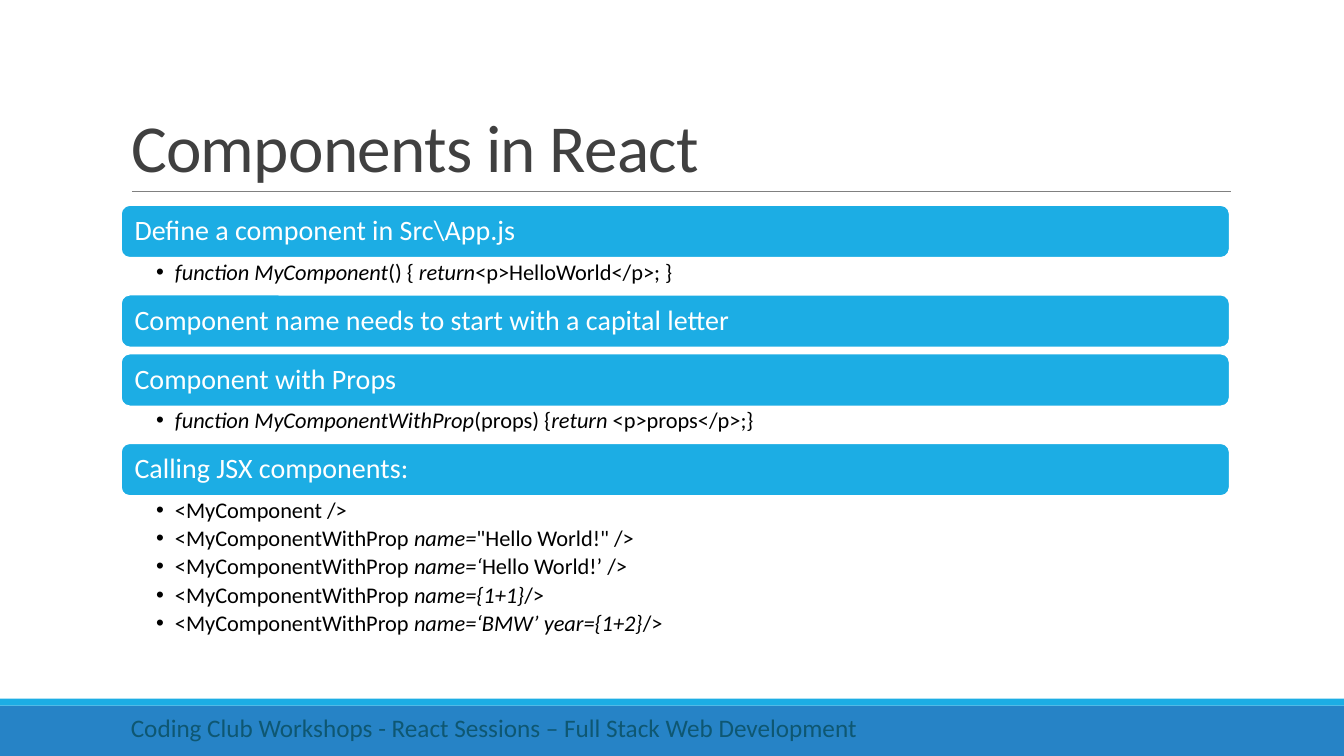
from lxml.etree import SubElement
from pptx import Presentation
from pptx.dml.color import RGBColor
from pptx.enum.shapes import MSO_CONNECTOR, MSO_SHAPE
from pptx.enum.text import MSO_ANCHOR, MSO_AUTO_SIZE, PP_ALIGN
from pptx.oxml.ns import qn
from pptx.util import Pt

LEFT, WIDE = 86.4, 792
BAR, LIST, GAP = 37.7, 26.3, 4.4

# Heading of each bar and the lines below it; *stars* mark italics
TOPICS = [
    (r"Define a component in Src\App.js",
     ["*function MyComponent*() { *return*<p>HelloWorld</p>; }"], LIST),
    ("Component name needs to start with a capital letter", [], GAP),
    ("Component with Props",
     ["*function MyComponentWithProp*(props) {*return* <p>props</p>;}"], LIST),
    ("Calling JSX components:",
     ["<MyComponent />",
      '<MyComponentWithProp *name=*"Hello World!" />',
      "<MyComponentWithProp *name=‘*Hello World!’ />",
      "<MyComponentWithProp *name={1+1}*/>",
      "<MyComponentWithProp *name=‘BMW’ year={1+2}*/>"], 107.3),
]


def color(code):
    return RGBColor.from_string(code)


def place(shape, x, y, w, h):
    shape.left, shape.top, shape.width, shape.height = map(Pt, (x, y, w, h))


def bullet(para, indent):
    props = para._p.get_or_add_pPr()
    props.set("marL", str(Pt(indent)))
    props.set("indent", str(-Pt(indent)))
    SubElement(props, qn("a:buChar")).set("char", "•")


def write(shape, lines, size, ink, anchor=MSO_ANCHOR.MIDDLE, inset=None,
          line=0.9, after=0, indent=0, track=0):
    frame = shape.text_frame
    frame.word_wrap = True
    frame.auto_size = MSO_AUTO_SIZE.NONE
    frame.vertical_anchor = anchor
    if inset:
        (frame.margin_left, frame.margin_top,
         frame.margin_right, frame.margin_bottom) = map(Pt, inset)
    for n, text in enumerate(lines):
        para = frame.add_paragraph() if n else frame.paragraphs[0]
        if indent:
            bullet(para, indent)
        para.alignment = PP_ALIGN.LEFT
        para.line_spacing = line
        para.space_before = Pt(0)
        para.space_after = Pt(after)
        for k, part in enumerate(text.split("*")):
            if not part:
                continue
            run = para.add_run()
            run.text = part
            font = run.font
            font.name, font.size = "Calibri", Pt(size)
            font.bold, font.italic = False, k % 2 == 1
            font.color.rgb = color(ink)
            if track:
                run._r.get_or_add_rPr().set("spc", str(track))


def block(slide, kind, x, y, w, h, fill, edge=None):
    shape = slide.shapes.add_shape(kind, Pt(x), Pt(y), Pt(w), Pt(h))
    shape.shadow.inherit = False
    shape.fill.solid()
    shape.fill.fore_color.rgb = color(fill)
    if edge:
        shape.line.color.rgb = color(edge)
        shape.line.width = Pt(1.25)
    else:
        shape.line.fill.background()
    return shape


def rule(slide, x, y, end):
    line = slide.shapes.add_connector(
        MSO_CONNECTOR.STRAIGHT, Pt(x), Pt(y), Pt(end), Pt(y))
    line.line.color.rgb = color("808080")
    line.line.width = Pt(0.5)
    SubElement(line._element.spPr, qn("a:effectLst"))


def main():
    deck = Presentation()
    deck.slide_width, deck.slide_height = Pt(960), Pt(540)
    slide = deck.slides.add_slide(deck.slide_layouts[4])
    title, *bodies = slide.placeholders

    # Footer bands and title rule
    block(slide, MSO_SHAPE.RECTANGLE, 0, 504, 960, 36, "2683C6")
    block(slide, MSO_SHAPE.RECTANGLE, 0, 499, 960, 5, "1CADE4")
    rule(slide, 94.3, 136.8, 879)

    # Title
    place(title, LEFT, 22.5, WIDE, 114.2)
    write(title, ["Components in React"], 48, "404040",
          anchor=MSO_ANCHOR.BOTTOM, line=0.85, track=-50)

    # Bars with their lists
    top = 146.5
    for head, lines, space in TOPICS:
        bar = block(slide, MSO_SHAPE.ROUNDED_RECTANGLE,
                    LEFT, top, WIDE, BAR, "1CADE4", "FFFFFF")
        write(bar, [head], 20, "FFFFFF", inset=(7.9, 6, 7.9, 6))
        top += BAR
        if lines:
            body = bodies.pop(0)
            place(body, LEFT, top, WIDE, space)
            write(body, lines, 16, "000000", anchor=MSO_ANCHOR.TOP,
                  inset=(25.1, 2, 11.4, 2), after=3, indent=13.5)
        top += space
    for spare in bodies:
        spare._element.getparent().remove(spare._element)

    # Footer text
    foot = slide.shapes.add_textbox(Pt(LEFT), Pt(505), Pt(560), Pt(29))
    write(foot, ["Coding Club Workshops - React Sessions – "
                 "Full Stack Web Development"],
          18, "0E5772", anchor=MSO_ANCHOR.TOP, line=1)

    deck.save("out.pptx")


if __name__ == "__main__":
    main()
